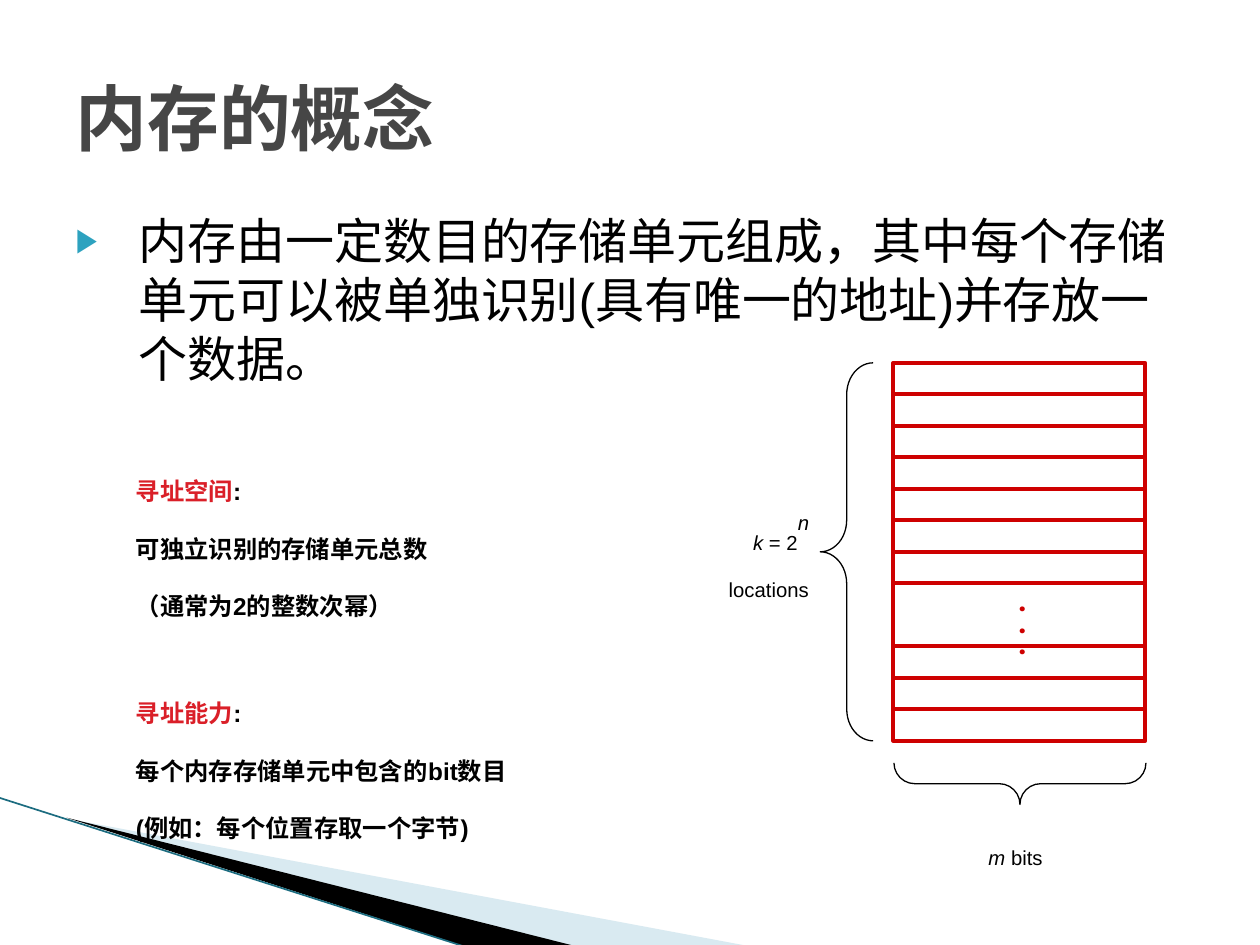
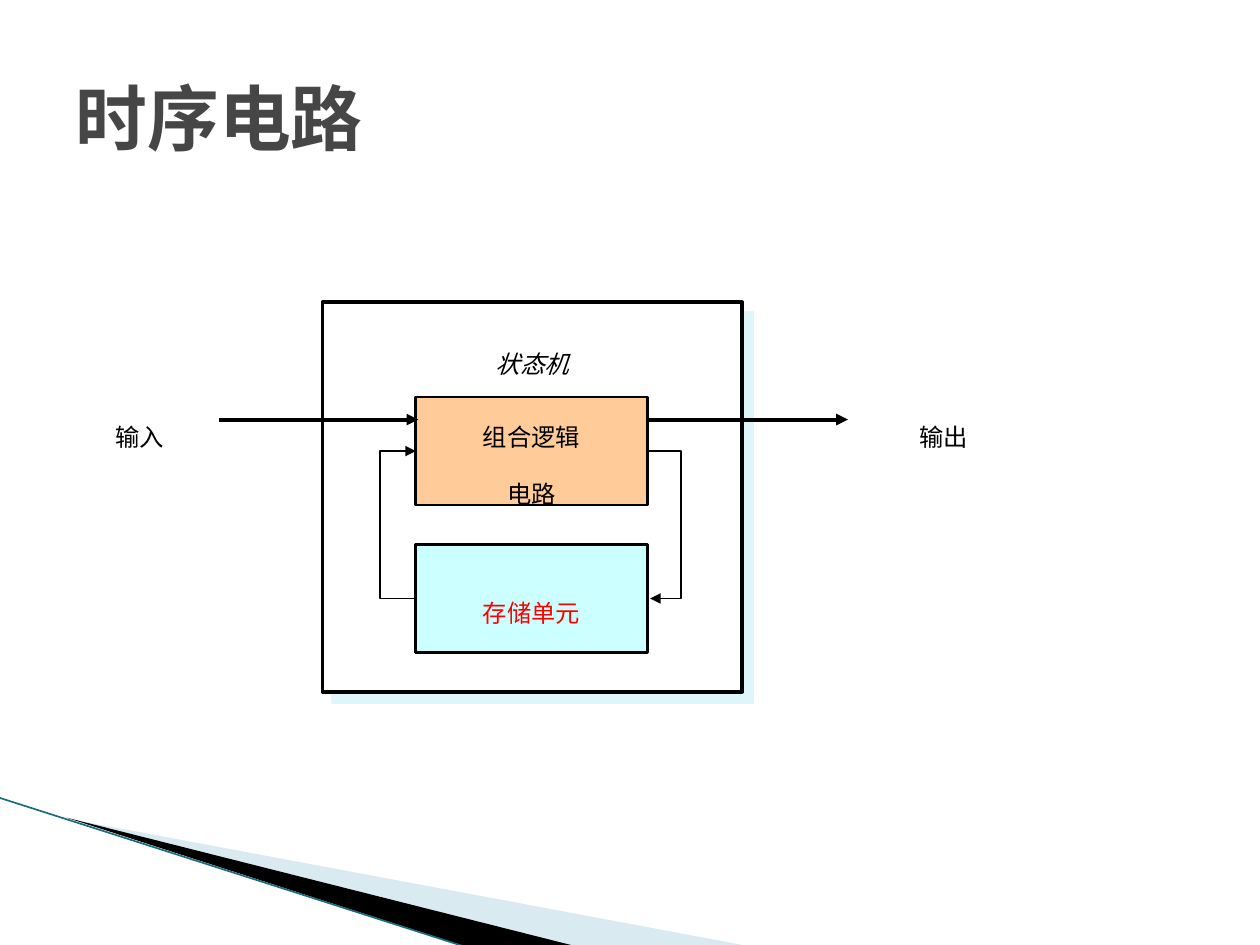
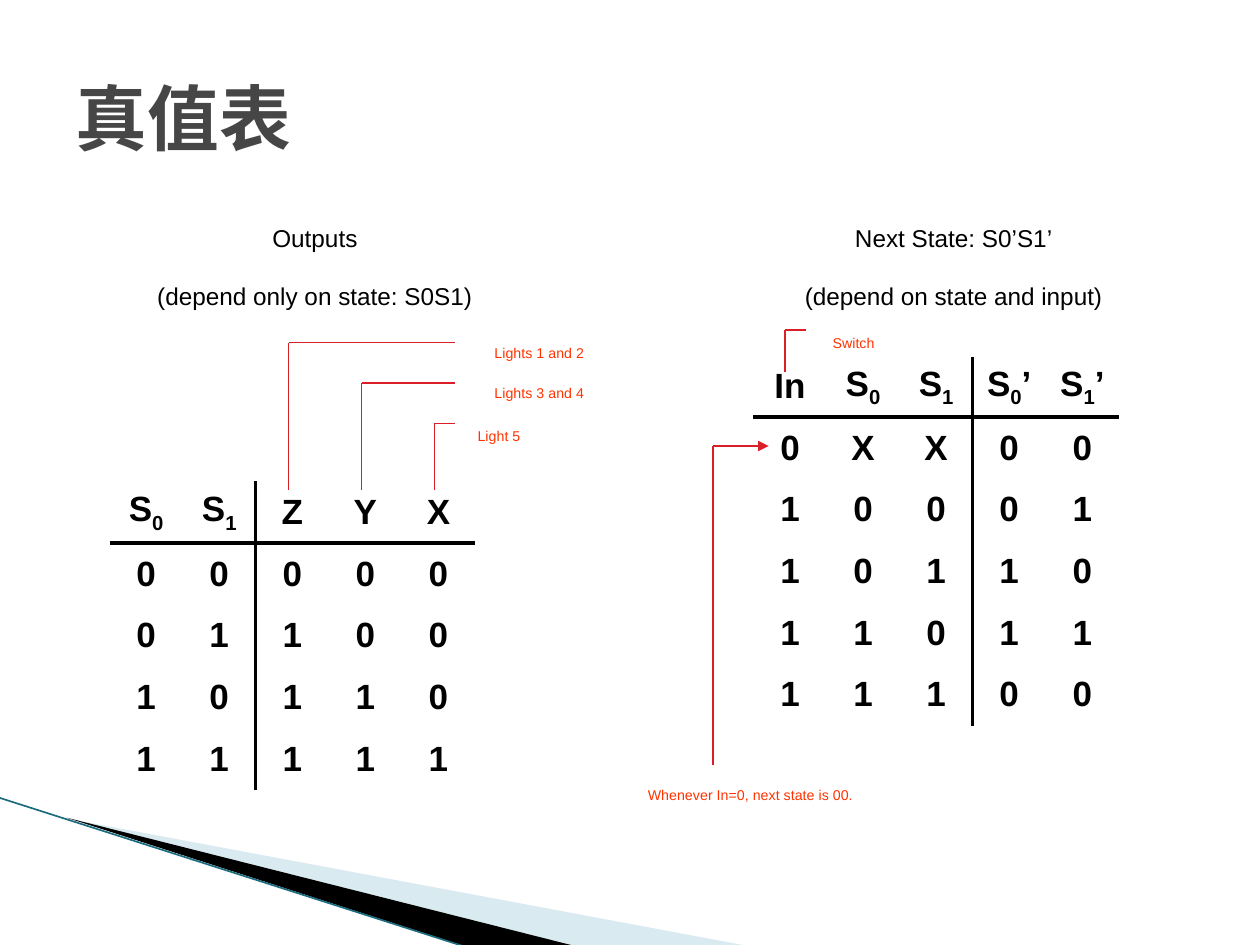
"""Build three lecture slides on memory, sequential circuits and truth tables."""
from lxml import etree
from pptx import Presentation
from pptx import util as u
from pptx.dml.color import RGBColor
from pptx.enum import shapes, text
from pptx.oxml.ns import qn

BLACK = RGBColor(0x00, 0x00, 0x00)
WHITE = RGBColor(0xFF, 0xFF, 0xFF)
TITLE_GREY = RGBColor(0x46, 0x46, 0x46)
BULLET_BLUE = RGBColor(0x2D, 0xA2, 0xBF)
BAND_BLUE = RGBColor(0xA0, 0xCB, 0xDC)
BAND_TEAL = RGBColor(0x1C, 0x6C, 0x80)
MEMORY_RED = RGBColor(0xCE, 0x00, 0x00)
ACCENT_RED = RGBColor(0xDA, 0x1F, 0x28)
NOTE_RED = RGBColor(0xFF, 0x33, 0x00)
PURE_RED = RGBColor(0xFF, 0x00, 0x00)
PEACH = RGBColor(0xFF, 0xCC, 0x99)
PALE_CYAN = RGBColor(0xCC, 0xFF, 0xFF)
SHADOW_CYAN = RGBColor(0xDE, 0xF5, 0xFA)

LEFT, CENTER, RIGHT = text.PP_ALIGN.LEFT, text.PP_ALIGN.CENTER, text.PP_ALIGN.RIGHT
LOWERED = -25000
RAISED = 30000
BREAK = "\n"
SUB = {"baseline": LOWERED}
ITALIC = {"italic": True}
LABEL = {"size": 24, "baseline": LOWERED}
DIMENSION = {"size": 20, "baseline": LOWERED}
NOTE = {"size": 14, "color": NOTE_RED, "baseline": LOWERED}
TABLE_TEXT = {"size": 20, "bold": True}
NO_STYLE = "{2D5ABB26-0587-4C30-8999-92F81FD0307C}"


def apply(obj, fmt):
    """Set each attribute of obj named in fmt."""
    for key, value in fmt.items():
        setattr(obj, key, value)


def child(parent, tag, **attrs):
    """Append an XML element with attributes."""
    el = etree.SubElement(parent, qn(tag))
    for key, value in attrs.items():
        el.set(key, str(value))
    return el


def write(p, runs, size, color=BLACK, baseline=None, **font):
    """Write runs, given as strings or (string, overrides), in a paragraph."""
    base = {"name": "Arial", "color": color, "baseline": baseline, **font}
    for item in [runs] if isinstance(runs, str) else runs:
        if item == BREAK:
            p.add_line_break()
            continue
        words, changes = (item, {}) if isinstance(item, str) else item
        fmt = {**base, "size": u.Pt(size), **changes}
        r = p.add_run()
        r.text = words
        r.font.color.rgb = fmt.pop("color")
        shift = fmt.pop("baseline")
        if shift:
            r._r.get_or_add_rPr().set("baseline", str(shift))
        apply(r.font, fmt)


def fill_text(tf, lines, fmt, align=CENTER, spacing=None):
    """Write one paragraph per line in a text frame."""
    tf.word_wrap = False
    for i, runs in enumerate(lines):
        p = tf.add_paragraph() if i else tf.paragraphs[0]
        p.alignment = align
        if spacing:
            p.line_spacing = spacing
        write(p, runs, **fmt)


def label(slide, box, lines, fmt=LABEL, align=CENTER, spacing=None):
    """Add a text box that grows with its lines."""
    tf = slide.shapes.add_textbox(*map(u.Inches, box)).text_frame
    fill_text(tf, lines, fmt, align, spacing)
    tf.auto_size = text.MSO_AUTO_SIZE.SHAPE_TO_FIT_TEXT


def outline(sp, color, width):
    """Set line colour and width in points."""
    sp.line.color.rgb = color
    sp.line.width = u.Pt(width)


def shape(slide, kind, box, color, width, fill=None):
    """Add a preset shape with an outline and an optional fill."""
    sp = slide.shapes.add_shape(kind, *map(u.Inches, box))
    sp.shadow.inherit = False
    outline(sp, color, width)
    if fill is None:
        sp.fill.background()
    else:
        sp.fill.solid()
        sp.fill.fore_color.rgb = fill
    return sp


def line(slide, x1, y1, x2, y2, color, width, arrow=False,
         kind=shapes.MSO_CONNECTOR.STRAIGHT):
    """Add a connector, with an arrowhead at its end if asked."""
    c = slide.shapes.add_connector(kind, *map(u.Inches, (x1, y1, x2, y2)))
    outline(c, color, width)
    if arrow:
        child(c.line._get_or_add_ln(), "a:tailEnd", type="triangle")
    child(c._element.spPr, "a:effectLst")
    return c


def polygon(slide, points, color):
    """Add a filled outline through points in inches."""
    corners = [(u.Inches(x), u.Inches(y)) for x, y in points]
    builder = slide.shapes.build_freeform(*corners[0])
    builder.add_line_segments(corners[1:], close=True)
    sp = builder.convert_to_shape()
    sp.shadow.inherit = False
    sp.fill.solid()
    sp.fill.fore_color.rgb = color
    sp.line.fill.background()
    return sp


def add_band(prs, slide):
    """Draw the corner band and move it to the slide master."""
    pale = polygon(slide, [(0.55, 6.5), (5.95, 7.51), (4.56, 7.51)], BAND_BLUE)
    color = pale._element.spPr.find(qn("a:solidFill"))[0]
    child(color, "a:alpha", val=40000)
    dark = polygon(slide, [(0.53, 6.49), (4.57, 7.51), (3.72, 7.52)], BLACK)
    edge = line(slide, -0.01, 6.33, 3.71, 7.52, BAND_TEAL, 0.95)
    tree = prs.slide_master.shapes.element
    for i, sp in enumerate((pale, dark, edge)):
        tree.insert(2 + i, sp._element)


def new_slide(prs, layout, title, font="Arial"):
    """Add a slide with its title placed and formatted."""
    slide = prs.slides.add_slide(prs.slide_layouts[layout])
    sp = slide.shapes.title
    place(sp, 0.5, 0.3, 9, 1.25)
    sp.text_frame.vertical_anchor = text.MSO_ANCHOR.MIDDLE
    p = sp.text_frame.paragraphs[0]
    p.alignment = LEFT
    write(p, title, 41, TITLE_GREY, bold=True, name=font)
    return slide


def place(sp, x, y, w, h):
    """Move and size a shape."""
    apply(sp, dict(zip(("left", "top", "width", "height"), map(u.Inches, (x, y, w, h)))))


def bullet_body(slide, words):
    """Fill the body placeholder with one bulleted paragraph."""
    sp = slide.placeholders[1]
    place(sp, 0.5, 1.62, 9, 4.95)
    p = sp.text_frame.paragraphs[0]
    p.space_before = u.Pt(4)
    write(p, words, 28)
    pPr = p._p.get_or_add_pPr()
    pPr.set("marL", str(u.Inches(0.5)))
    pPr.set("indent", str(u.Inches(-0.5)))
    child(child(pPr, "a:buClr"), "a:srgbClr", val=BULLET_BLUE)
    child(pPr, "a:buSzPct", val=68000)
    child(pPr, "a:buChar", char="▶")


def memory_stack(slide, x, y, w, h):
    """Draw the memory cells with braces and dimensions."""
    slots = 12
    frame = shape(slide, shapes.MSO_SHAPE.RECTANGLE, (x, y, w, h), MEMORY_RED, 2.25)
    for i in range(1, slots):
        if i == 8:
            continue
        row = y + i * h / slots
        c = line(slide, x, row, x + w, row, MEMORY_RED, 2.25)
        if i == slots // 2:
            c.begin_connect(frame, 1)
            c.end_connect(frame, 3)
    label(slide, (x + 0.84, y + 1.75, 0.37, 0.55), ["•"] * 3,
          {"size": 18, "name": "Karla", "color": MEMORY_RED, "bold": True,
           "baseline": LOWERED}, spacing=0.5)
    side = shape(slide, shapes.MSO_SHAPE.LEFT_BRACE, (x - 0.58, y, 0.42, h), BLACK, 0.75)
    side.adjustments[0] = 0.6
    under = shape(slide, shapes.MSO_SHAPE.RIGHT_BRACE,
                  (x + 0.84, y + 2.34, 0.33, w), BLACK, 0.75)
    under.adjustments[0] = 0.5
    under.rotation = 90
    label(slide, (x - 1.87, y + 1.09, 1.3, 0.77),
          [[("k", ITALIC), " = 2", ("n", {**ITALIC, "baseline": RAISED})], "locations"],
          DIMENSION, RIGHT)
    label(slide, (x + 0.5, y + 3.59, 0.94, 0.43), [[("m", ITALIC), " bits"]], DIMENSION)


def definition(slide, box, term, lines):
    """Add a red term followed by its explanation."""
    label(slide, box, [[(term, {"color": ACCENT_RED}), ":"], *lines],
          {**LABEL, "bold": True}, LEFT)


def memory_slide(prs):
    """Build the slide on the concept of memory."""
    slide = new_slide(prs, 1, "内存的概念")
    add_band(prs, slide)
    bullet_body(slide, "内存由一定数目的存储单元组成，其中每个存储单元可以被单独识别"
                       "(具有唯一的地址)并存放一个数据。")
    memory_stack(slide, 7.09, 2.88, 2, 3)
    definition(slide, (0.98, 3.51, 4.26, 1.31), "寻址空间",
               ["可独立识别的存储单元总数", "（通常为2的整数次幂）"])
    definition(slide, (0.98, 5.27, 5.45, 1.31), "寻址能力",
               ["每个内存存储单元中包含的bit数目", "(例如：每个位置存取一个字节)"])


def block(slide, box, fill, lines, color=BLACK):
    """Add a filled circuit block with centred text."""
    sp = shape(slide, shapes.MSO_SHAPE.RECTANGLE, box, BLACK, 1.5, fill)
    sp.text_frame.vertical_anchor = text.MSO_ANCHOR.MIDDLE
    fill_text(sp.text_frame, lines, {**LABEL, "color": color})


def loop_arrow(slide, x, y, h, bend, upward=False):
    """Add a bent arrow whose middle part lies bend inches from x."""
    step = 0.01
    c = line(slide, x, y, x + step, y + h, BLACK, 0.75, True, shapes.MSO_CONNECTOR.ELBOW)
    spPr = c._element.spPr
    adjust = spPr.find(qn("a:prstGeom")).find(qn("a:avLst"))
    child(adjust, "a:gd", name="adj1", fmla=f"val {round(bend / step * 100000)}")
    if upward:
        xfrm = spPr.find(qn("a:xfrm"))
        xfrm.set("rot", "10800000")
        xfrm.set("flipH", "1")


def state_machine(slide, x, y, w, h):
    """Draw the state machine with its inputs, outputs and feedback."""
    frame = shape(slide, shapes.MSO_SHAPE.RECTANGLE, (x, y, w, h), BLACK, 2.25, WHITE)
    effects = frame._element.spPr.find(qn("a:effectLst"))
    shadow = child(effects, "a:outerShdw", blurRad=0, dist=u.Pt(8.5), dir=2700000,
                   algn="ctr", rotWithShape=0)
    child(shadow, "a:srgbClr", val=SHADOW_CYAN)
    label(slide, (x + 1.06, y + 0.1, 1.21, 0.5), ["状态机"], {**LABEL, **ITALIC})
    left, bw, bh = x + 0.74, 1.84, 0.86
    logic, store = y + 0.75, y + 1.92
    block(slide, (left, logic, bw, bh), PEACH, ["组合逻辑", "电路"])
    block(slide, (left, store, bw, bh), PALE_CYAN, ["存储单元"], PURE_RED)
    flow = y + 0.93
    for words, label_x, start in (("输入", x - 1.89, x - 0.82), ("输出", x + 4.49, x + 2.59)):
        label(slide, (label_x, flow - 0.25, 0.88, 0.5), [words])
        line(slide, start, flow, start + 1.58, flow, BLACK, 2.25, True)
    middle = logic + bh / 2
    loop_arrow(slide, left + bw + 0.01, middle, store - logic, 0.26)
    loop_arrow(slide, left - 0.01, middle, store - logic, -0.28, upward=True)


def circuit_slide(prs):
    """Build the slide on sequential circuits."""
    slide = new_slide(prs, 5, "时序电路", "Courier New")
    state_machine(slide, 2.56, 2.4, 3.33, 3.09)


def state(n, tail=""):
    """Return runs for a state bit with its subscript."""
    return ["S", (str(n), SUB), tail] if tail else ["S", (str(n), SUB)]


def borders(cell, sides):
    """Draw black borders on the given sides of a cell and none elsewhere."""
    tcPr = cell._tc.get_or_add_tcPr()
    for side in "LRTB":
        ln = child(tcPr, f"a:ln{side}", w=u.Pt(2.25) if side in sides else 0)
        if side in sides:
            child(child(ln, "a:solidFill"), "a:srgbClr", val=BLACK)
        else:
            child(ln, "a:noFill")


def truth_table(slide, x, y, head, rows, split, head_height=0.49):
    """Add a truth table ruled under its head and before column split."""
    cells = [head, *rows]
    heights = [head_height] + [0.49] * len(rows)
    box = map(u.Inches, (x, y, 0.58 * len(head), sum(heights)))
    tbl = slide.shapes.add_table(len(cells), len(head), *box).table
    apply(tbl, {"first_row": False, "horz_banding": False})
    tbl._tbl.tblPr.find(qn("a:tableStyleId")).text = NO_STYLE
    for col in tbl.columns:
        col.width = u.Inches(0.58)
    for i, row in enumerate(cells):
        tbl.rows[i].height = u.Inches(heights[i])
        for j, runs in enumerate(row):
            cell = tbl.cell(i, j)
            cell.vertical_anchor = text.MSO_ANCHOR.MIDDLE
            p = cell.text_frame.paragraphs[0]
            apply(p, {"alignment": CENTER, "space_before": u.Pt(4)})
            write(p, runs, **TABLE_TEXT)
            borders(cell, {0: "B", 1: "T"}.get(i, "") + {split - 1: "R", split: "L"}.get(j, ""))
            cell.fill.background()


def outputs_region(slide, x, y):
    """Place the output table, its heading and its light labels."""
    label(slide, (x - 0.65, y, 4.56, 0.91),
          ["Outputs", ["(depend only on state: ", *state(0), *state(1), ")"]])
    truth_table(slide, x, y + 2.32, [state(0), state(1), "Z", "Y", "X"],
                ["00000", "01100", "10110", "11111"], 2)
    lights = (("Lights 1 and 2", 1.05, 1.42), ("Lights 3 and 4", 1.37, 1.42),
              ("Light 5", 1.71, 0.78))
    for i, (words, top, width) in enumerate(lights):
        label(slide, (x + 2.7, y + top, width, 0.33), [words], NOTE)
        column, level = x + 1.42 + 0.58 * i, y + 1.22 + 0.32 * i
        line(slide, x + 2.74, level, column, level, ACCENT_RED, 0.75)
        line(slide, column, level, column, y + 2.39, ACCENT_RED, 0.75)


def next_state_region(slide, x, y):
    """Place the next-state table, its heading and its notes."""
    label(slide, (x - 0.57, y, 4.32, 0.91),
          [["Next State: ", *state(0, "’"), *state(1, "’"), BREAK,
            "(depend on state and input)"]])
    truth_table(slide, x, y + 1.33,
                ["In", state(0), state(1), state(0, "’"), state(1, "’")],
                ["0XX00", "10001", "10110", "11011", "11100"], 3, 0.45)
    label(slide, (x + 0.41, y + 0.97, 0.77, 0.33), ["Switch"], NOTE)
    line(slide, x + 0.42, y + 1.12, x + 0.25, y + 1.12, ACCENT_RED, 0.75)
    line(slide, x + 0.25, y + 1.12, x + 0.25, y + 1.45, ACCENT_RED, 0.75)
    label(slide, (x - 1.52, y + 4.56, 2.99, 0.33), ["Whenever In=0, next state is 00."], NOTE)
    line(slide, x - 0.32, y + 2.04, x + 0.12, y + 2.04, ACCENT_RED, 0.75, True)
    line(slide, x - 0.32, y + 2.04, x - 0.32, y + 4.57, ACCENT_RED, 0.75)


def truth_table_slide(prs):
    """Build the slide with both truth tables."""
    slide = new_slide(prs, 5, "真值表")
    outputs_region(slide, 0.87, 1.5)
    next_state_region(slide, 5.98, 1.5)


def main():
    """Build and save the presentation."""
    prs = Presentation()
    apply(prs, {"slide_width": u.Inches(10), "slide_height": u.Inches(7.5)})
    memory_slide(prs)
    circuit_slide(prs)
    truth_table_slide(prs)
    prs.save("out.pptx")


if __name__ == "__main__":
    main()
